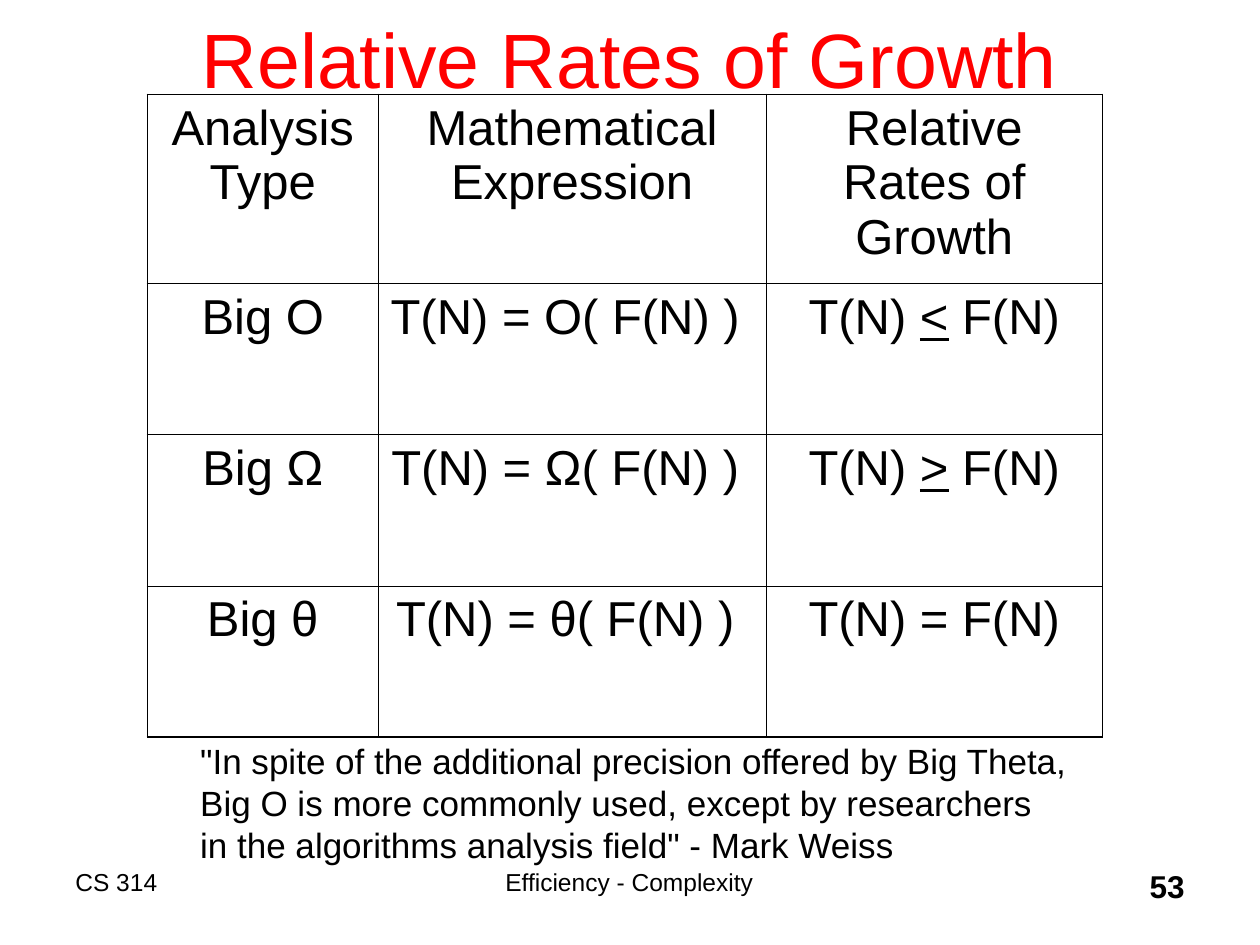
from lxml import etree
from pptx import Presentation
from pptx.dml.color import RGBColor
from pptx.enum import text
from pptx.oxml import ns
from pptx.util import Inches, Pt

BLACK = RGBColor(0, 0, 0)
RED = RGBColor(255, 0, 0)
LEFT, CENTER, RIGHT = text.PP_ALIGN.LEFT, text.PP_ALIGN.CENTER, text.PP_ALIGN.RIGHT
THICK, THIN = Pt(1.08), Pt(0.45)
COLUMNS = (1.83, 3.08, 2.67)
ROWS = (1.5, 1.2, 1.2, 1.2)
CELLS = (
    ("Analysis Type", "Mathematical\nExpression", "Relative Rates of Growth"),
    ("Big O", "T(N) = O( F(N) ) ", ("T(N) ", "<", " F(N)")),
    ("Big Ω", "T(N) = Ω( F(N) ) ", ("T(N) ", ">", " F(N)")),
    ("Big θ", "T(N) = θ( F(N) ) ", "T(N) = F(N)"),
)
QUOTE = (
    '"In spite of the additional precision offered by Big Theta,\n'
    "Big O is more commonly used, except by researchers\n"
    'in the algorithms analysis field" - Mark Weiss'
)


def write(tf, content, size, align=LEFT, color=BLACK, bold=False, before=0):
    """Fill one paragraph; the middle part of a tuple is underlined."""
    p = tf.paragraphs[0]
    p.alignment = align
    p.space_before = Pt(before)
    parts = (content,) if isinstance(content, str) else content
    for i, part in enumerate(parts):
        for j, line in enumerate(part.split("\n")):
            if j:
                p.add_line_break()
            r = p.add_run()
            r.text = line
            font = {"name": "Arial", "size": Pt(size), "bold": bold, "underline": i == 1}
            for name, value in font.items():
                setattr(r.font, name, value)
            r.font.color.rgb = color


def add_title(s, box):
    """Place and format the title placeholder."""
    sp = s.shapes.title
    for name, value in zip(("left", "top", "width", "height"), box):
        setattr(sp, name, Inches(value))
    sp.text_frame.vertical_anchor = text.MSO_ANCHOR.MIDDLE
    write(sp.text_frame, "Relative Rates of Growth", 44, CENTER, RED)


def add_text(s, box, content, size, wrap=True, **style):
    """Add a text box with one styled paragraph."""
    tf = s.shapes.add_textbox(*map(Inches, box)).text_frame
    tf.word_wrap = wrap
    write(tf, content, size, **style)


def set_borders(cell, widths):
    """Draw the left, right, top and bottom borders of a cell."""
    tc_pr = cell._tc.get_or_add_tcPr()
    for i, (side, width) in enumerate(zip("LRTB", widths)):
        ln = etree.Element(ns.qn(f"a:ln{side}"), w=str(int(width)))
        fill = etree.SubElement(ln, ns.qn("a:solidFill"))
        etree.SubElement(fill, ns.qn("a:srgbClr"), val=str(BLACK))
        tc_pr.insert(i, ln)


def add_growth_table(s, left, top):
    """Add the table of analysis types with a heavier outer frame."""
    box = map(Inches, (left, top, sum(COLUMNS), sum(ROWS)))
    table = s.shapes.add_table(len(ROWS), len(COLUMNS), *box).table
    table.first_row = table.horz_banding = False
    for column, width in zip(table.columns, COLUMNS):
        column.width = Inches(width)
    last_row, last_col = len(ROWS) - 1, len(COLUMNS) - 1
    for i, (row, height) in enumerate(zip(table.rows, ROWS)):
        row.height = Inches(height)
        for j, cell in enumerate(row.cells):
            write(cell.text_frame, CELLS[i][j], 28, CENTER, before=7)
            cell.fill.background()
            outer = (j == 0, j == last_col, i == 0, i == last_row)
            set_borders(cell, [THICK if edge else THIN for edge in outer])


def add_footer(s, top, height):
    """Add the course, topic and page number along the bottom."""
    add_text(s, (0.5, top, 2.5, height), "CS 314", 14)
    add_text(s, (3.08, top, 3.83, height), "Efficiency - Complexity", 14, align=CENTER)
    add_text(s, (7.42, top, 2.08, height), "53", 18, align=RIGHT, bold=True)


def main():
    """Build and save the slide."""
    prs = Presentation()
    prs.slide_width, prs.slide_height = Inches(10), Inches(7.5)
    s = prs.slides.add_slide(prs.slide_layouts[5])
    add_footer(s, 6.83, 0.5)
    add_title(s, (0.75, -0.17, 8.5, 1.25))
    add_growth_table(s, 1.17, 0.75)
    add_text(s, (1.49, 5.82, 7.09, 1.1), QUOTE, 20, wrap=False, before=5)
    prs.save("out.pptx")


if __name__ == "__main__":
    main()
